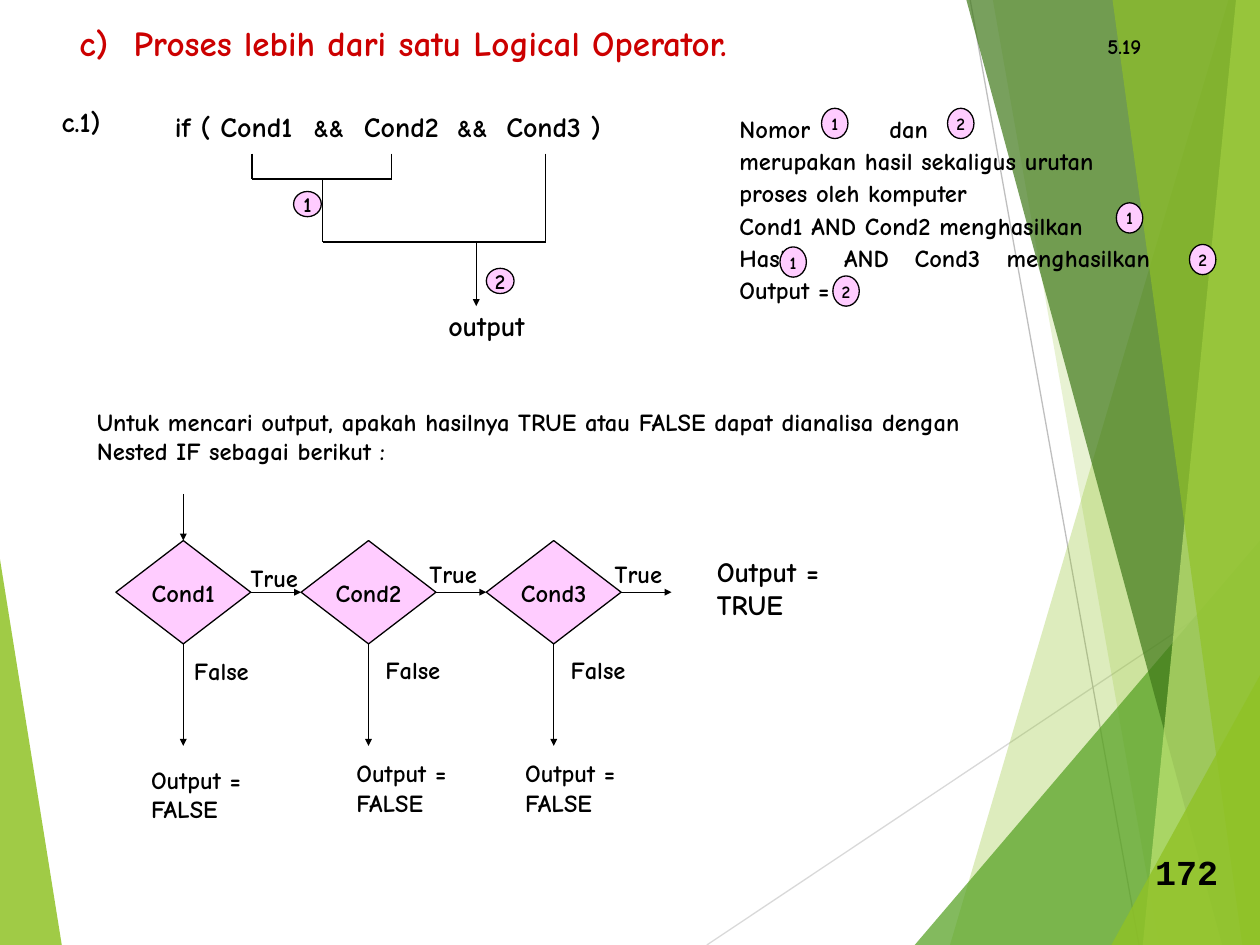
from pptx import Presentation
from pptx.dml.color import RGBColor
from pptx.enum.shapes import MSO_CONNECTOR, MSO_SHAPE
from pptx.enum.text import MSO_ANCHOR, MSO_AUTO_SIZE, PP_ALIGN
from pptx.oxml.ns import qn
from pptx.util import Inches, Pt
from lxml import etree

STRAIGHT = MSO_CONNECTOR.STRAIGHT
DIAMOND, OVAL = MSO_SHAPE.FLOWCHART_DECISION, MSO_SHAPE.OVAL
LEFT, CENTER = PP_ALIGN.LEFT, PP_ALIGN.CENTER
TOP, MIDDLE = MSO_ANCHOR.TOP, MSO_ANCHOR.MIDDLE
TOP_SITE, LEFT_SITE, BOTTOM_SITE, RIGHT_SITE = range(4)
TITLE_ONLY = 5


def color(value):
    return RGBColor.from_string(value)


def add_tab_stops(para, stops):
    tab_list = etree.SubElement(para._p.get_or_add_pPr(), qn("a:tabLst"))
    for stop in stops:
        etree.SubElement(tab_list, qn("a:tab"), pos=str(Inches(stop)), algn="l")


def write(frame, paragraphs, size=14, ink="000000", font="Comic Neue",
          align=LEFT, anchor=TOP, wrap=False, spacing=None, tabs=None):
    """Fill a text frame.

    A paragraph is a string or a list of (text, size) spans;
    tabs maps a paragraph's index to its tab stops.
    """
    frame.auto_size = MSO_AUTO_SIZE.NONE
    frame.word_wrap = wrap
    frame.vertical_anchor = anchor
    for index, content in enumerate(paragraphs):
        para = frame.add_paragraph() if index else frame.paragraphs[0]
        para.alignment = align
        if spacing:
            para.line_spacing = spacing
        if tabs and index in tabs:
            add_tab_stops(para, tabs[index])
        spans = [(content, size)] if isinstance(content, str) else content
        for text, span_size in spans:
            span = para.add_run()
            span.text = text
            span.font.name = font
            span.font.size = Pt(span_size)
            span.font.bold = True
            span.font.color.rgb = color(ink)


class SlideBuilder:
    pink, black, thin = "FFCCFF", "000000", 0.75

    def __init__(self, page):
        self.shapes = page.shapes

    def title(self, text, left, top, width, height, **style):
        title = self.shapes.title
        title.left, title.top = Inches(left), Inches(top)
        title.width, title.height = Inches(width), Inches(height)
        write(title.text_frame, [text], **style)

    def text(self, paragraphs, left, top, width, height, **style):
        box = self.shapes.add_textbox(*map(Inches, (left, top, width, height)))
        write(box.text_frame, paragraphs, **style)

    def node(self, kind, text, left, top, width, height, size):
        shape = self.shapes.add_shape(kind, *map(Inches, (left, top, width, height)))
        shape.shadow.inherit = False
        shape.fill.solid()
        shape.fill.fore_color.rgb = color(self.pink)
        shape.line.color.rgb = color(self.black)
        shape.line.width = Pt(self.thin)
        write(shape.text_frame, [text], size=size, align=CENTER, anchor=MIDDLE)
        return shape

    def line(self, start, end, ink=black, arrow=False, source=None, target=None):
        """Draw a line; source and target are optional (shape, site) joints."""
        line = self.shapes.add_connector(STRAIGHT, *map(Inches, (*start, *end)))
        line.line.color.rgb = color(ink)
        line.line.width = Pt(self.thin)
        properties = line._element.spPr
        if arrow:
            etree.SubElement(properties.find(qn("a:ln")), qn("a:tailEnd"),
                             type="triangle", w="sm", len="sm")
        etree.SubElement(properties, qn("a:effectLst"))
        if source:
            line.begin_connect(*source)
        if target:
            line.end_connect(*target)

    def polygon(self, points, fill, opacity):
        corners = [(Inches(x), Inches(y)) for x, y in points]
        outline = self.shapes.build_freeform(*corners[0])
        outline.add_line_segments(corners[1:], close=True)
        shape = outline.convert_to_shape()
        shape.shadow.inherit = False
        shape.line.fill.background()
        shape.fill.solid()
        shape.fill.fore_color.rgb = color(fill)
        shade = shape._element.spPr.find(qn("a:solidFill"))[0]
        etree.SubElement(shade, qn("a:alpha"), val=str(opacity * 1000))


def draw_backdrop(builder):
    builder.polygon([(0, 4.44), (0.49, 7.5), (0, 7.5)], "90C226", 85)
    builder.line((5.61, 7.5), (10, 4.57), ink="D9D9D9")
    builder.line((7.7, 0), (9.04, 7.5), ink="BFBFBF")
    # top left, bottom left, right edge top, fill, opacity
    facets = [
        ((9.75, 0), (7.54, 7.5), 0, "90C226", 30),
        ((7.88, 0), (9.2, 7.5), 0, "90C226", 20),
        (None, (7.26, 7.5), 4.29, "54A021", 72),
        ((7.67, 0), (9.7, 7.5), 0, "3F7819", 70),
        ((9.81, 0), (9.07, 7.5), 0, "C0E474", 70),
        ((8.83, 0), (9.86, 7.5), 0, "90C226", 65),
        (None, (8.82, 7.5), 5.36, "90C226", 80),
    ]
    for top, bottom, edge_top, fill, opacity in facets:
        points = [bottom, (10, 7.5), (10, edge_top)]
        builder.polygon([top] + points if top else points, fill, opacity)


def draw_expression(builder):
    builder.text(["c.1)"], 0.39, 0.78, 0.51, 0.37, size=16)
    builder.text([[("if ( Cond1\t", 16), ("&&\t", 14), ("Cond2\t", 16),
                   ("&&\t", 14), ("Cond3 )", 16)]],
                 1.29, 0.82, 3.7, 0.37, wrap=True, tabs={0: (1.1, 1.5, 2.24, 2.63)})
    cond1, cond2, cond3, first, output = 2, 3.11, 4.33, 2.56, 3.78
    top, upper, lower = 1.22, 1.42, 1.92
    for start, end in [
        ((cond1, top), (cond1, upper)),
        ((cond2, top), (cond2, upper)),
        ((cond1, upper), (cond2, upper)),
        ((first, upper), (first, lower)),
        ((cond3, top), (cond3, lower)),
        ((first, lower), (cond3, lower)),
    ]:
        builder.line(start, end)
    builder.line((output, lower), (output, 2.43), arrow=True)
    builder.text(["output"], 3.46, 2.4, 0.8, 0.37, size=16)
    for number, left, circle_top in [("2", 3.86, 2.13), ("1", 2.33, 1.52)]:
        builder.node(OVAL, number, left, circle_top, 0.22, 0.2, 12)


def draw_notes(builder):
    builder.text(["Nomor\tdan",
                  "merupakan hasil sekaligus urutan",
                  "proses oleh komputer",
                  "Cond1 AND Cond2 menghasilkan",
                  "Hasil\tAND\tCond3\tmenghasilkan",
                  "Output ="],
                 5.77, 0.83, 3.81, 1.64, wrap=True, spacing=1.1,
                 tabs={0: (1.19,), 4: (0.83, 1.39, 2.12)})
    for number, left, top in [("1", 6.52, 0.86), ("2", 7.52, 0.86), ("1", 6.19, 1.96),
                              ("1", 8.86, 1.61), ("2", 9.44, 1.94), ("2", 6.61, 2.19)]:
        builder.node(OVAL, number, left, top, 0.21, 0.24, 10)


def draw_flowchart(builder):
    left, top, width, height, step = 0.92, 4.29, 1.07, 0.82, 1.47
    middle, bottom = top + height / 2, top + height
    diamonds = [builder.node(DIAMOND, f"Cond{i + 1}", left + i * step, top, width, height, 14)
                for i in range(3)]
    entry = left + width / 2
    builder.line((entry, 3.92), (entry, top), arrow=True, target=(diamonds[0], TOP_SITE))
    # positions of the True, False and Output labels beside each diamond
    labels = [((1.89, 4.42), (1.44, 5.16), (1.1, 6.02)),
              ((3.31, 4.39), (2.96, 5.15), (2.73, 5.97)),
              ((4.78, 4.39), (4.43, 5.15), (4.07, 5.97))]
    for i, (diamond, (true_at, false_at, output_at)) in enumerate(zip(diamonds, labels)):
        center, right = entry + i * step, left + width + i * step
        following = (diamonds[i + 1], LEFT_SITE) if i < 2 else None
        builder.line((right, middle), (right + step - width, middle), arrow=True,
                     source=(diamond, RIGHT_SITE), target=following)
        builder.line((center, bottom), (center, 5.92), arrow=True,
                     source=(diamond, BOTTOM_SITE))
        builder.text(["True"], *true_at, 0.58, 0.34)
        builder.text(["False"], *false_at, 0.63, 0.34)
        builder.text(["Output =", "FALSE"], *output_at, 0.91, 0.57)
    builder.text(["Output =", "TRUE"], 5.59, 4.35, 1.01, 0.64, size=16)


def main():
    deck = Presentation()
    deck.slide_width, deck.slide_height = Inches(10), Inches(7.5)
    builder = SlideBuilder(deck.slides.add_slide(deck.slide_layouts[TITLE_ONLY]))
    draw_backdrop(builder)
    builder.title("c)\tProses lebih dari satu Logical Operator.", 0.53, 0.12, 5.6, 0.44,
                  size=20, ink="CC0000", wrap=True, tabs={0: (0.43,)})
    draw_expression(builder)
    draw_notes(builder)
    builder.text(["Untuk mencari output, apakah hasilnya TRUE atau FALSE dapat "
                  "dianalisa dengan Nested IF sebagai berikut :"],
                 0.67, 3.18, 7.33, 0.57, wrap=True)
    draw_flowchart(builder)
    builder.text(["5.19"], 8.69, 0.22, 0.47, 0.3, size=12)
    builder.text(["172"], 9.07, 6.7, 0.7, 0.44, size=20, font="Courier New")
    deck.save("out.pptx")


if __name__ == "__main__":
    main()
